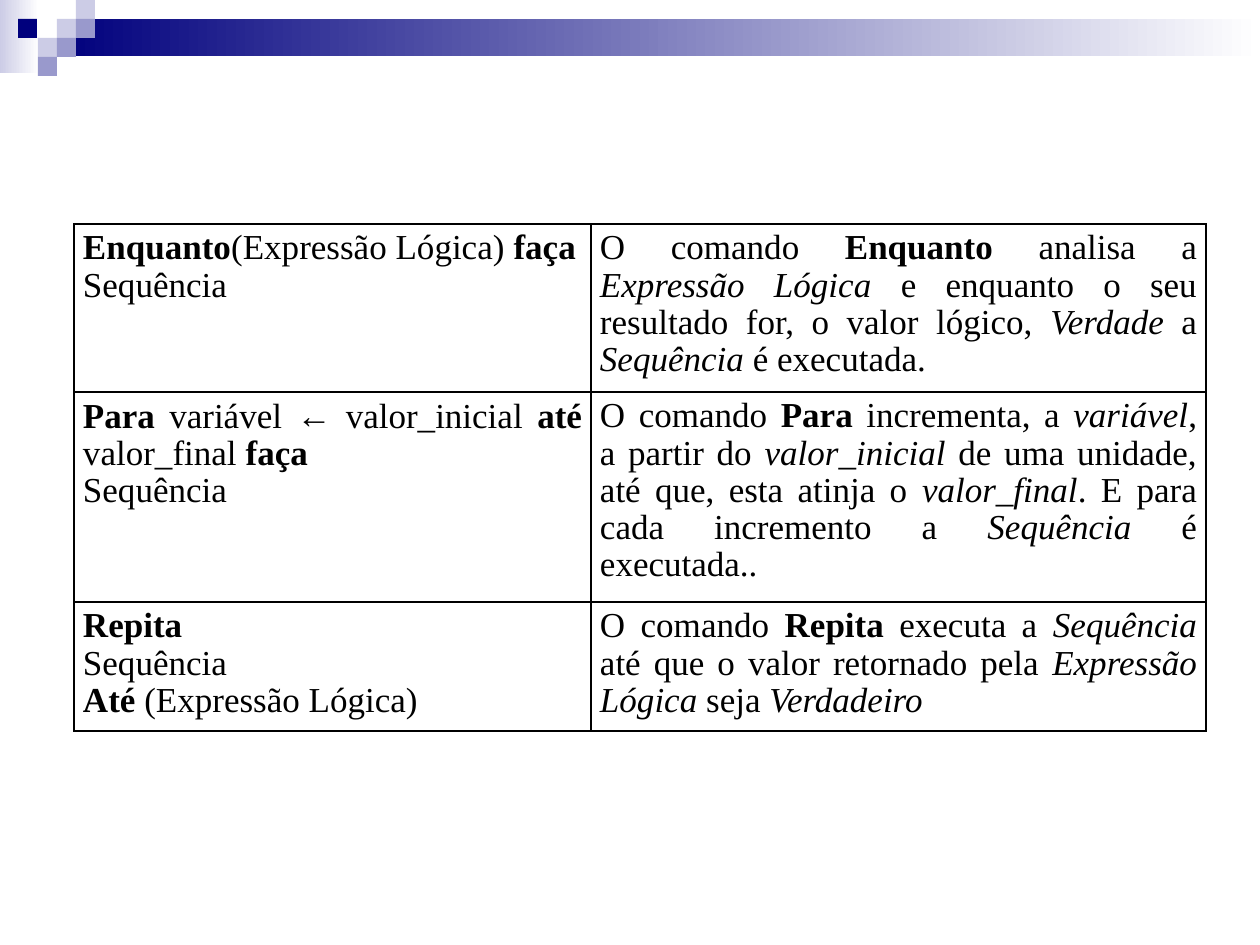
from lxml import etree
from pptx import Presentation
from pptx import util as u
from pptx.dml.color import RGBColor
from pptx.enum import shapes, text
from pptx.oxml import ns

PX = 914400 / 126
SQUARE = 19
NAVY, VIOLET, LILAC, WHITE, BLACK = "00007D", "9999CC", "CCCCE6", "FFFFFF", "000000"
SQUARES = [
    (57, 19, LILAC), (76, 0, LILAC), (76, 19, VIOLET), (38, 38, LILAC),
    (18, 19, NAVY), (57, 38, VIOLET), (38, 57, VIOLET),
]
COLUMNS = [517, 615]
ROWS = [168, 210, 129]
COMMANDS = [
    (["*Enquanto|(Expressão Lógica) |*faça", "Sequência"],
     ["O comando |*Enquanto| analisa a |/Expressão Lógica| e enquanto o seu resultado for, "
      "o valor lógico, |/Verdade| a |/Sequência| é executada."]),
    (["*Para| variável |←| valor_inicial |*até| valor_final |*faça", "Sequência "],
     ["O comando |*Para| incrementa, a |/variável|, a partir do |/valor_inicial| de uma unidade, "
      "até que, esta atinja o |/valor_final|. E para cada incremento a |/Sequência| é executada.."]),
    (["*Repita", "Sequência ", "*Até| (Expressão Lógica)"],
     ["O comando |*Repita| executa a |/Sequência| até que o valor retornado pela "
      "|/Expressão Lógica| seja |/Verdadeiro"]),
]


def px(length):
    """Turn pixels into EMU."""
    return u.Emu(round(length * PX))


def colour(value):
    """Return the colour of a hex string."""
    return RGBColor.from_string(value)


def add_rectangle(slide, left, top, width, height, fill, fade=None):
    """Add a borderless rectangle, solid or fading to the right."""
    shape = slide.shapes.add_shape(
        shapes.MSO_SHAPE.RECTANGLE, px(left), px(top), px(width), px(height))
    shape.shadow.inherit = False
    shape.line.fill.background()
    if fade is None:
        shape.fill.solid()
        shape.fill.fore_color.rgb = colour(fill)
        return
    shape.fill.gradient()
    shape.fill.gradient_angle = 0
    for stop, position, value in zip(shape.fill.gradient_stops, (0, 1), (fill, fade)):
        stop.position = position
        stop.color.rgb = colour(value)


def add_run(paragraph, content, font="Times New Roman", size=20, bold=False, italic=False):
    """Append a formatted run to a paragraph."""
    run = paragraph.add_run()
    run.text = content
    run.font.name = font
    run.font.size = u.Pt(size)
    run.font.bold = bold
    run.font.italic = italic
    run.font.color.rgb = colour(BLACK)


def add_marked_text(paragraph, marked):
    """Write pieces parted by bars, where * marks bold and / marks italic."""
    paragraph.alignment = text.PP_ALIGN.JUSTIFY
    paragraph.line_spacing = 0.96
    for piece in marked.split("|"):
        add_run(paragraph, piece.lstrip("*/"),
                font="Arial" if piece == "←" else "Times New Roman",
                bold=piece.startswith("*"), italic=piece.startswith("/"))


def add_borders(cell, width=1.08):
    """Draw a black line on the four sides of a cell."""
    properties = cell._tc.get_or_add_tcPr()
    for side in ("a:lnL", "a:lnR", "a:lnT", "a:lnB"):
        line = etree.SubElement(properties, ns.qn(side), w=str(u.Pt(width)))
        fill = etree.SubElement(line, ns.qn("a:solidFill"))
        etree.SubElement(fill, ns.qn("a:srgbClr"), val=BLACK)


def fill_cell(cell, lines):
    """Format a cell and write one paragraph per line."""
    add_borders(cell)
    cell.fill.background()
    cell.margin_left = cell.margin_right = px(9)
    cell.margin_top = cell.margin_bottom = px(6)
    frame = cell.text_frame
    for index, line in enumerate(lines):
        paragraph = frame.add_paragraph() if index else frame.paragraphs[0]
        add_marked_text(paragraph, line)


def add_command_table(slide, left, top):
    """Add the table of loop commands and their meanings."""
    table = slide.shapes.add_table(
        len(ROWS), len(COLUMNS), px(left), px(top), px(sum(COLUMNS)), px(sum(ROWS))).table
    table.first_row = table.horz_banding = False
    for column, width in zip(table.columns, COLUMNS):
        column.width = px(width)
    for row, height, command in zip(table.rows, ROWS, COMMANDS):
        row.height = px(height)
        for cell, lines in zip(row.cells, command):
            fill_cell(cell, lines)


def main():
    """Build the slide and save it."""
    presentation = Presentation()
    presentation.slide_width, presentation.slide_height = px(1260), px(945)
    slide = presentation.slides.add_slide(presentation.slide_layouts[6])
    add_rectangle(slide, 0, 0, 39, 73, LILAC, fade=WHITE)
    add_rectangle(slide, 57, 19, 1203, 37, NAVY, fade=WHITE)
    for left, top, fill in SQUARES:
        add_rectangle(slide, left, top, SQUARE, SQUARE, fill)
    add_command_table(slide, 74, 224)
    presentation.save("out.pptx")


if __name__ == "__main__":
    main()
